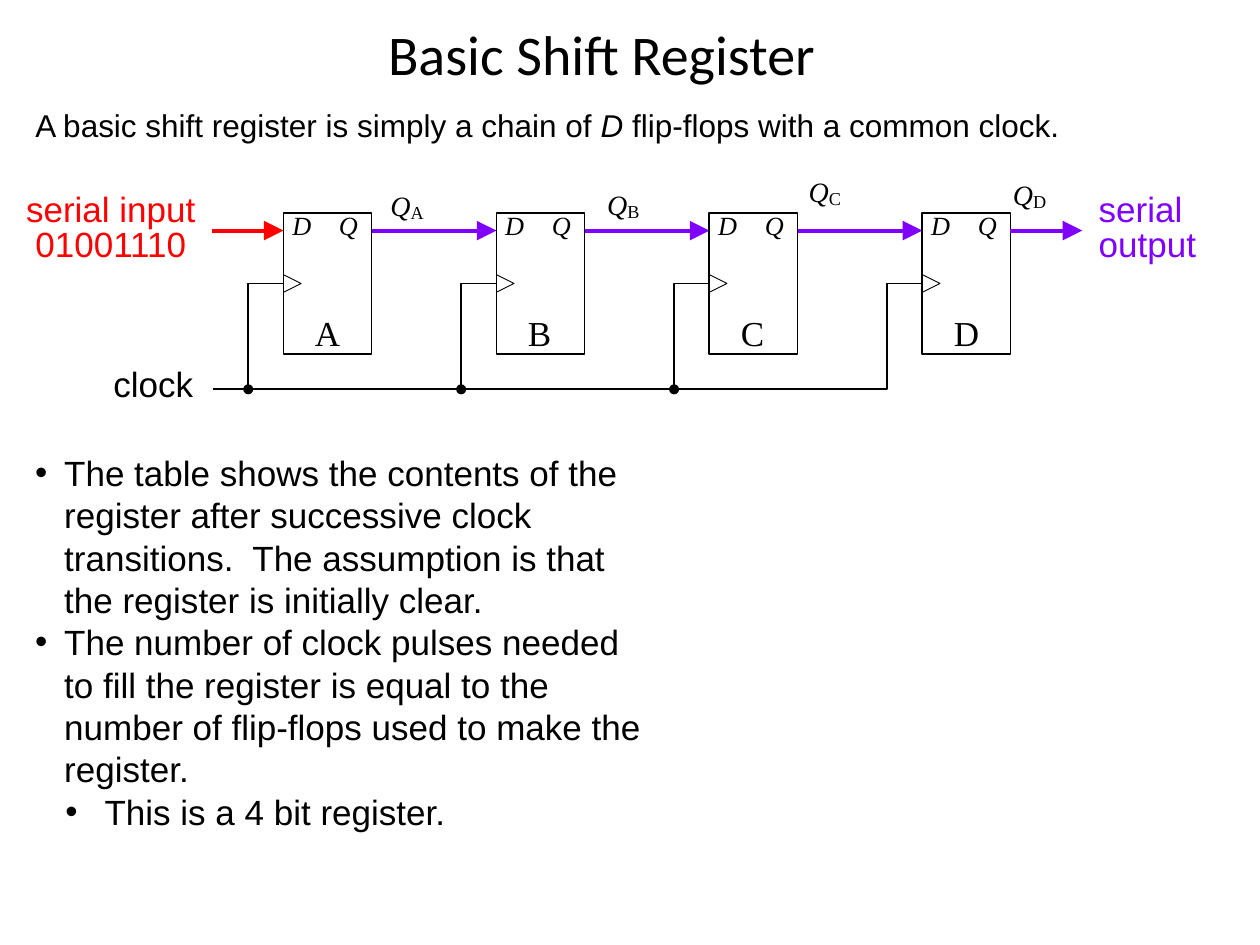
from dataclasses import dataclass

from lxml import etree
from pptx import Presentation
from pptx.dml.color import RGBColor
from pptx.enum import shapes, text
from pptx.oxml.ns import qn
from pptx.util import Inches, Pt

COLORS = {"ink": "000000", "input": "FF0000", "output": "7F00FF"}
SANS, SERIF = "Arial", "Times New Roman"

FLOP_LEFT, FLOP_PITCH = 2.25, 1.69
FLOP_TOP, FLOP_W, FLOP_H = 1.69, 0.7, 1.12
DATA_Y = 1.83
CLOCK_PIN_Y = FLOP_TOP + FLOP_H / 2
BUS_Y, BUS_LEFT = 3.09, 1.69
CLOCK_STUB, DOT = 0.28, 0.08
STAGE_WIRE_LEN = FLOP_PITCH - FLOP_W
END_WIRE_LEN = 0.57


@dataclass
class FlipFlop:
    name: str
    q_left: float
    q_top: float


@dataclass
class Bullet:
    words: str
    left: float
    hang: float
    level: int = 0


FLIP_FLOPS = [
    FlipFlop("A", 3.0, 1.42),
    FlipFlop("B", 4.72, 1.41),
    FlipFlop("C", 6.32, 1.31),
    FlipFlop("D", 7.94, 1.33),
]

BULLETS = [
    Bullet("The table shows the contents of the register after successive clock "
           "transitions.  The assumption is that the register is initially clear.", 0.51, 0.23),
    Bullet("The number of clock pulses needed to fill the register is equal to the "
           "number of flip-flops used to make the register.", 0.51, 0.23),
    Bullet("This is a 4 bit register.", 0.83, 0.31, 1),
]


def rgb(color: str) -> RGBColor:
    return RGBColor.from_string(COLORS[color])


def add_run(paragraph, words: str, color: str = "ink", **font_format):
    run = paragraph.add_run()
    run.text = words
    run.font.color.rgb = rgb(color)
    for attribute, value in font_format.items():
        setattr(run.font, attribute, value)
    return run


def add_box(slide, left: float, top: float, width: float, height: float,
            margins: tuple = (0, 0)):
    """Add an empty wrapping text box and return its text frame."""
    frame = slide.shapes.add_textbox(*map(Inches, (left, top, width, height))).text_frame
    frame.word_wrap = True
    across, down = map(Inches, margins)
    for side, margin in {"left": across, "right": across, "top": down, "bottom": down}.items():
        setattr(frame, f"margin_{side}", margin)
    return frame


def add_lines(frame, lines: list, spacing: Pt, align, **run_format) -> None:
    for index, words in enumerate(lines):
        paragraph = frame.add_paragraph() if index else frame.paragraphs[0]
        paragraph.line_spacing, paragraph.alignment = spacing, align
        add_run(paragraph, words, **run_format)


def add_outline(slide, points: list, width: float) -> None:
    """Draw an open, unfilled black line through the points."""
    corners = [(Inches(x), Inches(y)) for x, y in points]
    builder = slide.shapes.build_freeform(*corners[0], scale=1.0)
    builder.add_line_segments(corners[1:], close=False)
    outline = builder.convert_to_shape()
    outline.shadow.inherit = False
    outline.fill.background()
    outline.line.color.rgb, outline.line.width = rgb("ink"), Pt(width)


def add_data_arrow(slide, left: float, length: float, color: str) -> None:
    arrow = slide.shapes.add_connector(
        shapes.MSO_CONNECTOR.STRAIGHT,
        *map(Inches, (left, DATA_Y, left + length, DATA_Y)))
    arrow.line.color.rgb, arrow.line.width = rgb(color), Pt(2.25)
    properties = arrow.line._get_or_add_ln()
    etree.SubElement(properties, qn("a:tailEnd"), type="triangle", w="lg", len="lg")
    etree.SubElement(arrow._element.spPr, qn("a:effectLst"))


def add_flip_flop(slide, flop: FlipFlop, left: float) -> None:
    body = slide.shapes.add_shape(
        shapes.MSO_SHAPE.RECTANGLE, *map(Inches, (left, FLOP_TOP, FLOP_W, FLOP_H)))
    body.shadow.inherit = False
    body.fill.background()
    body.line.color.rgb, body.line.width = rgb("ink"), Pt(1)
    add_outline(slide, [(left, CLOCK_PIN_Y - 0.07), (left + 0.14, CLOCK_PIN_Y),
                        (left, CLOCK_PIN_Y + 0.07)], 0.5)

    pins = add_box(slide, left + 0.07, 1.66, 0.58, 0.28).paragraphs[0]
    tabs = etree.SubElement(pins._p.get_or_add_pPr(), qn("a:tabLst"))
    etree.SubElement(tabs, qn("a:tab"), pos=str(Inches(0.37)), algn="l")
    add_run(pins, "D\tQ", name=SERIF, size=Pt(15), italic=True)

    name = add_box(slide, left + 0.25, 2.47, 0.23, 0.35).paragraphs[0]
    add_run(name, flop.name, name=SERIF, size=Pt(20))

    q_label = add_box(slide, flop.q_left, flop.q_top, 0.5, 0.41, (0.1, 0.05)).paragraphs[0]
    add_run(q_label, "Q", name=SERIF, size=Pt(16), italic=True)
    subscript = add_run(q_label, flop.name, name=SERIF, size=Pt(18))
    subscript.font._element.set("baseline", "-10000")


def add_clock_wire(slide, flop_left: float, is_last: bool) -> None:
    """Run the clock pin down to the bus; the last wire also forms the bus."""
    drop = flop_left - CLOCK_STUB
    route = [(flop_left, CLOCK_PIN_Y), (drop, CLOCK_PIN_Y), (drop, BUS_Y)]
    if is_last:
        add_outline(slide, route + [(BUS_LEFT, BUS_Y)], 1)
        return
    add_outline(slide, route, 1)
    junction = slide.shapes.add_shape(
        shapes.MSO_SHAPE.OVAL,
        *map(Inches, (drop - DOT / 2, BUS_Y - DOT / 2, DOT, DOT)))
    junction.shadow.inherit = False
    junction.fill.solid()
    junction.fill.fore_color.rgb = rgb("ink")
    junction.line.fill.background()


def add_bullets(slide) -> None:
    frame = add_box(slide, 0, 3.58, 5.1, 3.2)
    for index, bullet in enumerate(BULLETS):
        paragraph = frame.add_paragraph() if index else frame.paragraphs[0]
        paragraph.level, paragraph.line_spacing = bullet.level, Pt(24.2)
        properties = paragraph._p.get_or_add_pPr()
        properties.set("marL", str(Inches(bullet.left)))
        properties.set("indent", str(Inches(-bullet.hang)))
        etree.SubElement(properties, qn("a:buFont"), typeface=SANS)
        etree.SubElement(properties, qn("a:buChar"), char="•")
        add_run(paragraph, bullet.words, name=SANS, size=Pt(20))


def main() -> None:
    deck = Presentation()
    deck.slide_width, deck.slide_height = Inches(10), Inches(7.5)
    slide = deck.slides.add_slide(deck.slide_layouts[5])

    title = slide.shapes.title
    for side, value in {"left": 0.5, "top": 0, "width": 9, "height": 0.84}.items():
        setattr(title, side, Inches(value))
    heading = title.text_frame
    heading.auto_size = text.MSO_AUTO_SIZE.NONE
    heading.vertical_anchor = text.MSO_ANCHOR.MIDDLE
    heading.margin_left = Inches(2.58)
    heading.paragraphs[0].alignment = text.PP_ALIGN.LEFT
    add_run(heading.paragraphs[0], "Basic Shift Register", name="Calibri", size=Pt(32))

    intro = add_box(slide, 0.28, 0.84, 9.18, 0.35).paragraphs[0]
    for words, italic in [("A basic shift register is simply a chain of ", False),
                          ("D ", True), ("flip-flops with a common clock.", False)]:
        add_run(intro, words, name=SANS, size=Pt(18), italic=italic)

    add_data_arrow(slide, FLOP_LEFT - END_WIRE_LEN, END_WIRE_LEN, "input")
    for index, flop in enumerate(FLIP_FLOPS):
        left = FLOP_LEFT + index * FLOP_PITCH
        is_last = index == len(FLIP_FLOPS) - 1
        add_flip_flop(slide, flop, left)
        add_clock_wire(slide, left, is_last)
        add_data_arrow(slide, left + FLOP_W,
                       END_WIRE_LEN if is_last else STAGE_WIRE_LEN, "output")

    label = {"name": SANS, "size": Pt(20)}
    add_lines(add_box(slide, 0.13, 1.54, 1.5, 0.57), ["serial input", "01001110"],
              Pt(20.2), text.PP_ALIGN.CENTER, color="input", **label)
    add_lines(add_box(slide, 8.72, 1.54, 0.8, 0.57), ["serial output"],
              Pt(20.2), text.PP_ALIGN.LEFT, color="output", **label)
    add_run(add_box(slide, 0.9, 2.88, 0.75, 0.32).paragraphs[0], "clock", **label)
    add_bullets(slide)

    deck.save("out.pptx")


if __name__ == "__main__":
    main()
